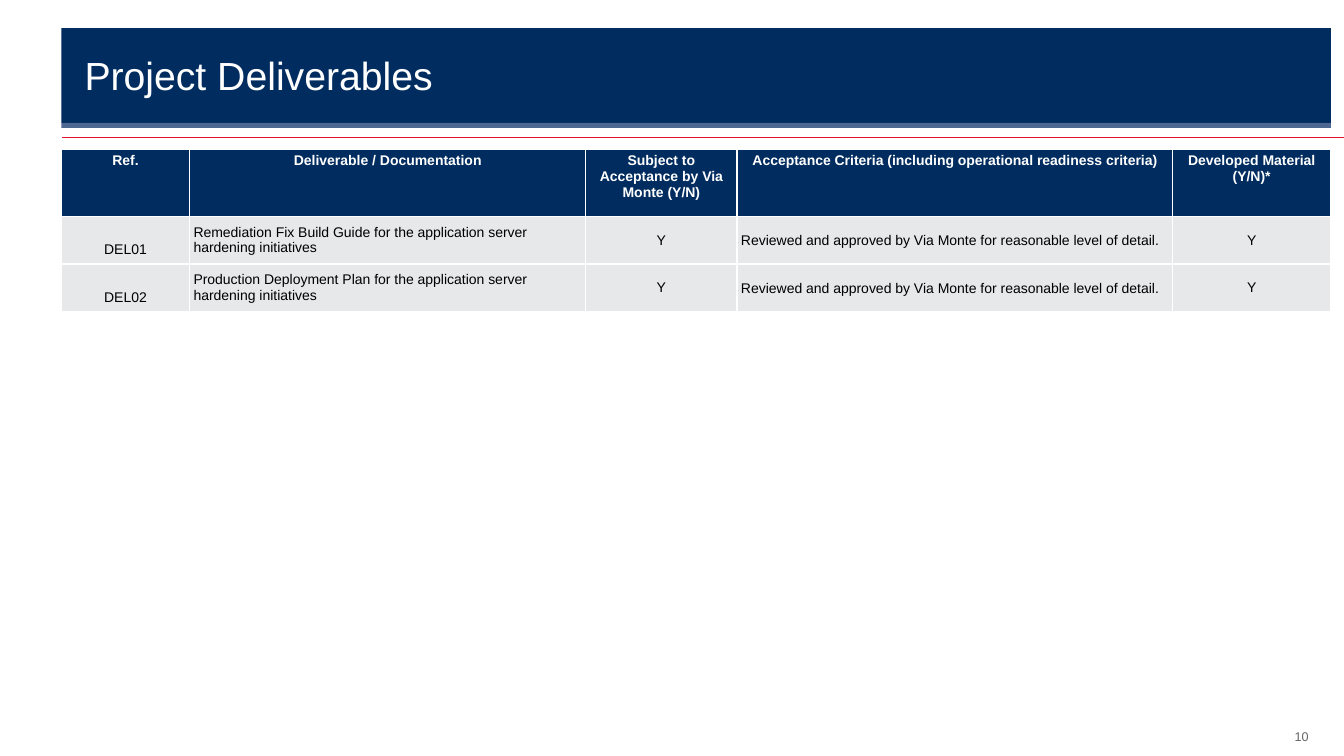
from lxml.etree import SubElement
from pptx import Presentation
from pptx.dml.color import RGBColor
from pptx.enum.shapes import MSO_CONNECTOR, MSO_SHAPE
from pptx.enum.text import MSO_ANCHOR, PP_ALIGN
from pptx.oxml.ns import qn
from pptx.util import Inches, Pt

COLORS = {
    "navy": "002C5F",
    "steel": "4D6991",
    "red": "E60D2E",
    "band": "E7E8EA",
    "white": "FFFFFF",
    "black": "000000",
    "gray": "646464",
}
LEFT, WIDTH = 0.61, 12.59
COLUMN_WIDTHS = [1.27, 3.93, 1.5, 4.32, 1.57]
ROW_HEIGHTS = [0.67, 0.47, 0.47]
HEADINGS = [
    "Ref.",
    "Deliverable / Documentation",
    "Subject to Acceptance by Via Monte (Y/N)",
    "Acceptance Criteria (including operational readiness criteria)",
    "Developed Material (Y/N)*",
]
CRITERIA = "Reviewed and approved by Via Monte for reasonable level of detail."
DELIVERABLES = [
    ("DEL01", "Remediation Fix Build Guide for the application server hardening initiatives"),
    ("DEL02", "Production Deployment Plan for the application server hardening initiatives"),
]
REF_COLUMN, CRITERIA_COLUMN = 0, 3
LEFT_ALIGNED_COLUMNS = (1, CRITERIA_COLUMN)


def color(name):
    return RGBColor.from_string(COLORS[name])


def write(frame, text, size, ink, align=PP_ALIGN.LEFT, bold=False):
    frame.word_wrap = True
    para = frame.paragraphs[0]
    para.alignment = align
    span = para.add_run()
    span.text = text
    span.font.name = "Arial"
    span.font.size = Pt(size)
    span.font.bold = bold
    span.font.color.rgb = color(ink)
    return para


def add_bar(page, top, height, fill):
    bar = page.shapes.add_shape(
        MSO_SHAPE.RECTANGLE, Inches(LEFT), Inches(top), Inches(WIDTH), Inches(height)
    )
    bar.shadow.inherit = False
    bar.fill.solid()
    bar.fill.fore_color.rgb = color(fill)
    bar.line.fill.background()


def add_rule(page, left, right, y):
    rule = page.shapes.add_connector(
        MSO_CONNECTOR.STRAIGHT, Inches(right), Inches(y), Inches(left), Inches(y)
    )
    rule.line.color.rgb = color("red")
    rule.line.width = Pt(0.75)
    SubElement(rule._element.spPr, qn("a:effectLst"))


def add_text(page, left, top, width, height, text, size, ink, align=PP_ALIGN.LEFT):
    box = page.shapes.add_textbox(Inches(left), Inches(top), Inches(width), Inches(height))
    write(box.text_frame, text, size, ink, align)
    return box.text_frame


def add_borders(cell):
    properties = cell._tc.get_or_add_tcPr()
    for side in ("lnL", "lnR", "lnT", "lnB"):
        line = SubElement(properties, qn(f"a:{side}"), w=str(Pt(1)))
        fill = SubElement(line, qn("a:solidFill"))
        SubElement(fill, qn("a:srgbClr"), val=COLORS["white"])


def style_cell(cell, fill, anchor):
    add_borders(cell)
    cell.fill.solid()
    cell.fill.fore_color.rgb = color(fill)
    cell.margin_left = cell.margin_right = Inches(0.04)
    cell.margin_top = cell.margin_bottom = Inches(0.04)
    cell.vertical_anchor = anchor


def fill_deliverable_cell(cell, column, text):
    anchor = MSO_ANCHOR.BOTTOM if column == REF_COLUMN else MSO_ANCHOR.MIDDLE
    style_cell(cell, "band", anchor)
    align = PP_ALIGN.LEFT if column in LEFT_ALIGNED_COLUMNS else PP_ALIGN.CENTER
    para = write(cell.text_frame, text, 10, "black", align)
    if column == REF_COLUMN:
        cell.margin_bottom = Inches(0.06)
    if column == CRITERIA_COLUMN:
        para.line_spacing = Pt(12)


def add_deliverables_table(page):
    table = page.shapes.add_table(
        len(ROW_HEIGHTS), len(COLUMN_WIDTHS),
        Inches(LEFT), Inches(1.48), Inches(WIDTH), Inches(sum(ROW_HEIGHTS)),
    ).table
    for column, width in zip(table.columns, COLUMN_WIDTHS):
        column.width = Inches(width)
    for row, height in zip(table.rows, ROW_HEIGHTS):
        row.height = Inches(height)
    for column, heading in enumerate(HEADINGS):
        cell = table.cell(0, column)
        style_cell(cell, "navy", MSO_ANCHOR.TOP)
        write(cell.text_frame, heading, 10, "white", PP_ALIGN.CENTER, bold=True)
    for row, (reference, document) in enumerate(DELIVERABLES, start=1):
        for column, text in enumerate((reference, document, "Y", CRITERIA, "Y")):
            fill_deliverable_cell(table.cell(row, column), column, text)


def main():
    deck = Presentation()
    deck.slide_width, deck.slide_height = Inches(13.33), Inches(7.5)
    page = deck.slides.add_slide(deck.slide_layouts[6])
    add_rule(page, 0.62, 13.33, 1.36)
    number = add_text(page, 12.08, 7.1, 0.9, 0.33, "10", 9, "gray", PP_ALIGN.RIGHT)
    number.vertical_anchor = MSO_ANCHOR.BOTTOM
    number.margin_right = 0
    add_bar(page, 0.28, 0.94, "navy")
    add_text(page, 0.74, 0.46, 12.32, 0.57, "Project Deliverables", 28, "white")
    add_bar(page, 1.22, 0.05, "steel")
    add_deliverables_table(page)
    deck.save("out.pptx")


if __name__ == "__main__":
    main()
